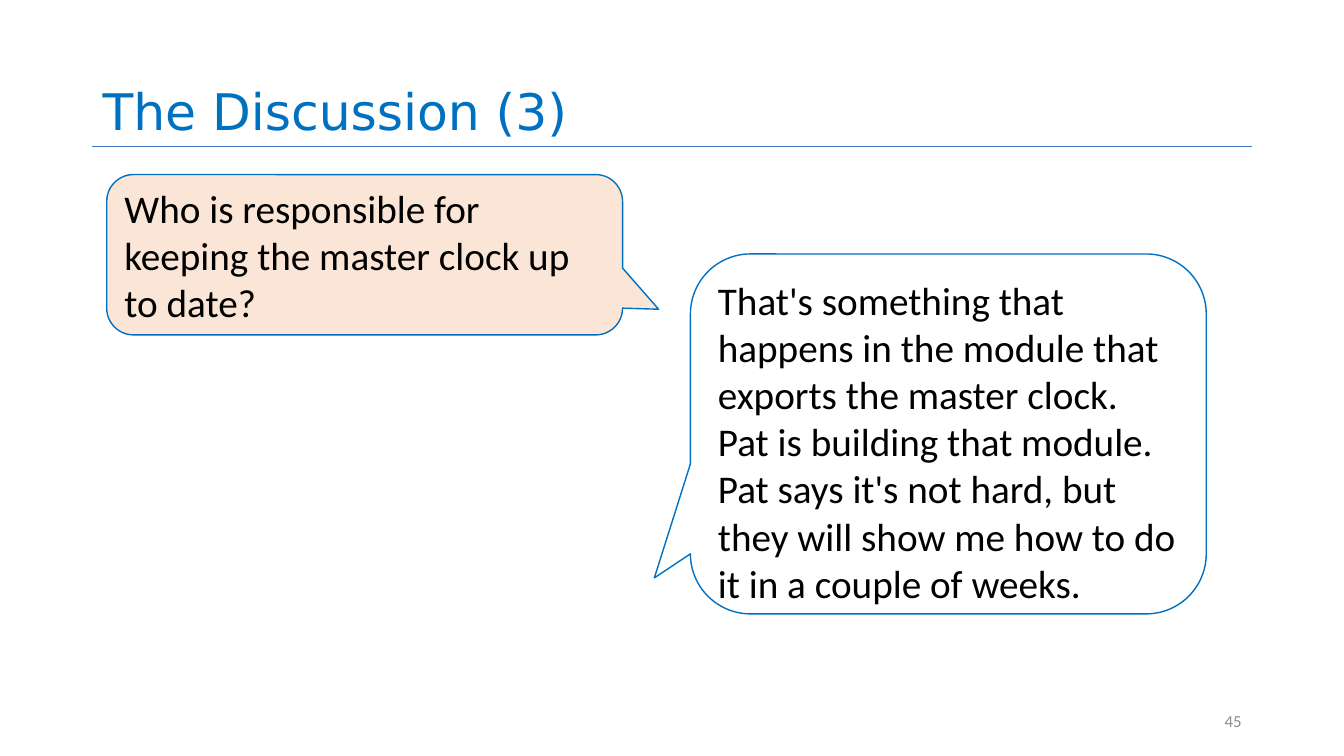
import pptx
import pptx.dml.color
import pptx.enum.shapes
import pptx.enum.text
import pptx.util
from lxml import etree

Cm = pptx.util.Cm
Pt = pptx.util.Pt
ALIGN = pptx.enum.text.PP_ALIGN
ANCHOR = pptx.enum.text.MSO_ANCHOR
SHAPE = pptx.enum.shapes.MSO_SHAPE
STRAIGHT = pptx.enum.shapes.MSO_CONNECTOR.STRAIGHT


def rgb(value):
    return pptx.dml.color.RGBColor.from_string(value)


def write(sp, text, size=28, font="Calibri", color="000000",
          align=ALIGN.LEFT, anchor=ANCHOR.TOP, spacing=1.0):
    tf = sp.text_frame
    tf.word_wrap = True
    tf.auto_size = pptx.enum.text.MSO_AUTO_SIZE.NONE
    tf.vertical_anchor = anchor
    p = tf.paragraphs[0]
    p.alignment = align
    p.line_spacing = spacing
    r = p.add_run()
    r.text = text
    r.font.size = Pt(size)
    r.font.name = font
    r.font.color.rgb = rgb(color)


class Deck:
    """Holds the shared style and the current slide."""

    accent = "0070C0"
    rule_color = "4472C4"
    muted = "8C8C8C"
    title_font = "DejaVu Sans"

    def __init__(self):
        self.prs = pptx.Presentation()
        self.prs.slide_width = Cm(33.87)
        self.prs.slide_height = Cm(19.05)
        self.s = None

    def add_slide(self, title):
        self.s = self.prs.slides.add_slide(self.prs.slide_layouts[5])
        sp = self.s.shapes.title
        sp.left, sp.top, sp.width, sp.height = Cm(2.33), Cm(0), Cm(29.21), Cm(3.69)
        write(sp, title, size=36, font=self.title_font, color=self.accent,
              anchor=ANCHOR.BOTTOM, spacing=0.9)

    def rule(self, left, right, y):
        line = self.s.shapes.add_connector(STRAIGHT, Cm(left), Cm(y), Cm(right), Cm(y))
        line.line.color.rgb = rgb(self.rule_color)
        line.line.width = Pt(0.5)
        etree.SubElement(line._element.spPr, pptx.oxml.ns.qn("a:effectLst"))

    def page_number(self, number):
        sp = self.s.shapes.add_textbox(Cm(23.92), Cm(17.66), Cm(7.62), Cm(1.01))
        write(sp, str(number), size=12, color=self.muted,
              align=ALIGN.RIGHT, anchor=ANCHOR.MIDDLE)

    def callout(self, text, left, top, height, tip, fill, anchor):
        """Add a speech bubble; tip is its pointer's offset from the centre, as shares of its size."""
        sp = self.s.shapes.add_shape(SHAPE.ROUNDED_RECTANGULAR_CALLOUT,
                                     Cm(left), Cm(top), Cm(13), Cm(height))
        sp.adjustments[0], sp.adjustments[1] = tip
        sp.adjustments[2] = 0.167
        sp.shadow.inherit = False
        sp.fill.solid()
        sp.fill.fore_color.rgb = rgb(fill)
        sp.line.color.rgb = rgb(self.accent)
        sp.line.width = Pt(1)
        write(sp, text, anchor=anchor)


def main():
    deck = Deck()
    deck.add_slide("The Discussion (3)")
    deck.rule(2.33, 31.54, 3.69)
    deck.page_number(45)
    deck.callout("That's something that happens in the module that exports the "
                 "master clock.  Pat is building that module.  Pat says it's not "
                 "hard, but they will show me how to do it in a couple of weeks.",
                 17.4, 6.4, 9.07, (-0.57, 0.4), "FFFFFF", ANCHOR.TOP)
    deck.callout("Who is responsible for keeping the master clock up to date?",
                 2.69, 4.4, 4.04, (0.57, 0.34), "FBE5D6", ANCHOR.MIDDLE)
    deck.prs.save("out.pptx")


if __name__ == "__main__":
    main()
